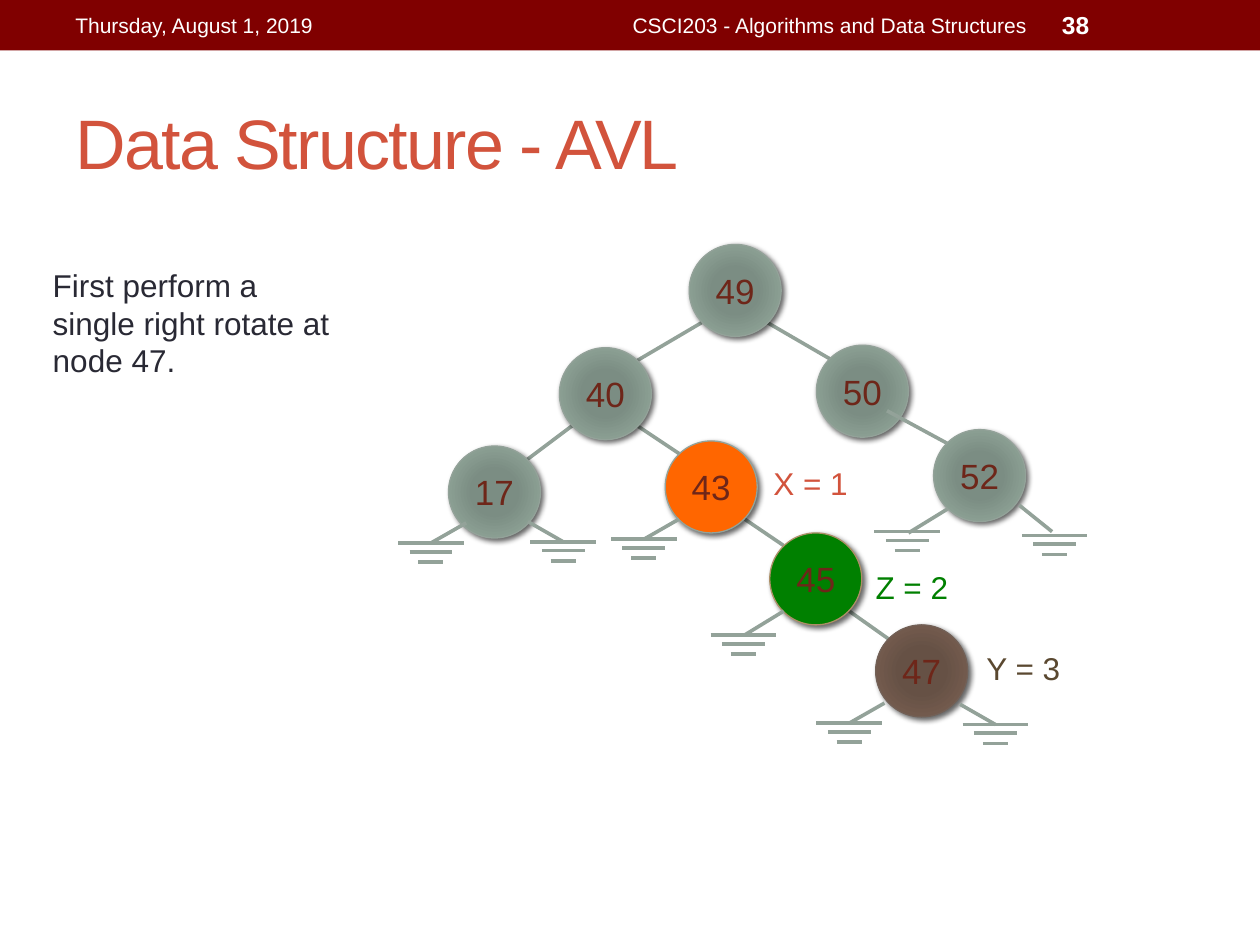
from lxml.etree import SubElement
from pptx import Presentation
from pptx.dml.color import RGBColor
from pptx.enum.shapes import MSO_CONNECTOR, MSO_SHAPE
from pptx.enum.text import MSO_ANCHOR, PP_ALIGN
from pptx.oxml import parse_xml
from pptx.oxml.ns import nsdecls, qn
from pptx.util import Pt

PX = 9144  # EMU, 100 px to the inch
rgb = RGBColor.from_string
SAGE, BROWN = "93A299", "726056"
SAGE_GLOW = ["7B8E82", "7B8D83", "8A9E92", SAGE]
BROWN_GLOW = ["685044", "665145", "725A4D", BROWN]
NODE = 73

prs = Presentation()
prs.slide_width, prs.slide_height = 1000 * PX, 750 * PX
slide = prs.slides.add_slide(prs.slide_layouts[5])
shapes = slide.shapes


def write(frame, text, size, color, align=PP_ALIGN.LEFT, anchor=MSO_ANCHOR.MIDDLE):
    frame.text = text
    frame.vertical_anchor = anchor
    paragraph = frame.paragraphs[0]
    paragraph.alignment = align
    font = paragraph.runs[0].font
    font.name, font.size = "Arial", Pt(size)
    font.color.rgb = rgb(color)
    return font


def draw_line(x1, y1, x2, y2):
    line = shapes.add_connector(MSO_CONNECTOR.STRAIGHT, x1 * PX, y1 * PX, x2 * PX, y2 * PX)
    line.line.color.rgb = rgb(SAGE)
    line.line.width = Pt(2.08)
    SubElement(line._element.spPr, qn("a:effectLst"))


# Header band
band = shapes.add_shape(MSO_SHAPE.RECTANGLE, 0, 0, 1000 * PX, 40 * PX)
band.shadow.inherit = False
band.fill.solid()
band.fill.fore_color.rgb = rgb("800000")
band.line.fill.background()
for text, x, width, size, align in [
    ("Thursday, August 1, 2019", 50, 317, 12, PP_ALIGN.LEFT),
    ("CSCI203 - Algorithms and Data Structures", 375, 450, 12, PP_ALIGN.RIGHT),
    ("38", 833, 117, 14, PP_ALIGN.LEFT),
]:
    header = shapes.add_textbox(x * PX, 2 * PX, width * PX, 36 * PX).text_frame
    header.word_wrap = True
    header_font = write(header, text, size, "FFFFFF", align)
    header_font.bold = text == "38"

# Title and instruction
title = shapes.title
title.left, title.top, title.width, title.height = 50 * PX, 58 * PX, 900 * PX, 108 * PX
title_font = write(title.text_frame, "Data Structure - AVL", 40, "D2533C")
title_font._element.set("spc", "-100")

step = shapes.add_textbox(32 * PX, 206 * PX, 249 * PX, 101 * PX).text_frame
step.word_wrap = True
write(step, "First perform a single right rotate at node 47.", 18, "292934", anchor=MSO_ANCHOR.TOP)

# Tree edges that run behind the nodes
for edge in [
    (557, 256, 506, 286), (609, 256, 659, 285), (454, 338, 418, 365), (506, 338, 539, 360),
    (591, 412, 622, 433), (674, 485, 705, 507),
]:
    draw_line(*edge)

# Tree nodes: key, left, top, fill (one colour or glow stops), outline
for key, x, y, fill, outline in [
    ("49", 547, 194, SAGE_GLOW, SAGE),
    ("40", 444, 276, SAGE_GLOW, SAGE),
    ("50", 648, 274, SAGE_GLOW, SAGE),
    ("17", 356, 354, SAGE_GLOW, SAGE),
    ("43", 528, 350, "FF6600", SAGE),
    ("52", 741, 341, SAGE_GLOW, SAGE),
    ("45", 611, 423, "008000", "AD8F67"),
    ("47", 695, 496, BROWN_GLOW, BROWN),
]:
    node = shapes.add_shape(MSO_SHAPE.OVAL, x * PX, y * PX, NODE * PX, NODE * PX)
    node.line.color.rgb = rgb(outline)
    node.line.width = Pt(0.75)
    properties = node._element.spPr
    if isinstance(fill, str):
        node.fill.solid()
        node.fill.fore_color.rgb = rgb(fill)
    else:
        stops = "".join(
            f'<a:gs pos="{pos}000"><a:srgbClr val="{color}"/></a:gs>'
            for pos, color in zip((0, 34, 70, 100), fill)
        )
        properties.find(qn("a:prstGeom")).addnext(parse_xml(
            f'<a:gradFill {nsdecls("a")} rotWithShape="1"><a:gsLst>{stops}</a:gsLst>'
            '<a:path path="circle"><a:fillToRect l="100000" t="100000" r="100000" b="100000"/>'
            '</a:path></a:gradFill>'
        ))
    properties.append(parse_xml(
        f'<a:effectLst {nsdecls("a")}><a:outerShdw blurRad="{Pt(3)}" dist="{Pt(2)}" dir="2700000">'
        '<a:srgbClr val="000000"><a:alpha val="60000"/></a:srgbClr></a:outerShdw></a:effectLst>'
    ))
    write(node.text_frame, key, 20, "6E2619", PP_ALIGN.CENTER)

draw_line(704, 326, 752, 352)  # from 50 to 52, in front of node 50

# Empty subtrees: a leg down to three shrinking bars
for leg, center, top in [
    ((370, 415, 342, 431), 342, 431), ((419, 414, 447, 430), 447, 430),
    ((539, 412, 511, 428), 511, 428), ((622, 485, 591, 504), 590, 504),
    ((702, 558, 674, 574), 674, 574), ((762, 559, 790, 575), 790, 575),
    ((752, 404, 721, 423), 720, 422), ((809, 401, 835, 422), 837, 425),
]:
    draw_line(*leg)
    for half, drop in [(26, 0), (17, 7), (10, 15)]:
        draw_line(center - half, top + drop, center + half, top + drop)

# Balance labels
for text, x, y, width, color in [
    ("X = 1", 604, 363, 80, "D2533C"),
    ("Y = 3", 773, 510, 79, "5A4830"),
    ("Z = 2", 685, 446, 78, "008000"),
]:
    balance = shapes.add_textbox(x * PX, y * PX, width * PX, 40 * PX).text_frame
    balance.word_wrap = False
    write(balance, text, 18, color, anchor=MSO_ANCHOR.TOP)

prs.save("out.pptx")
